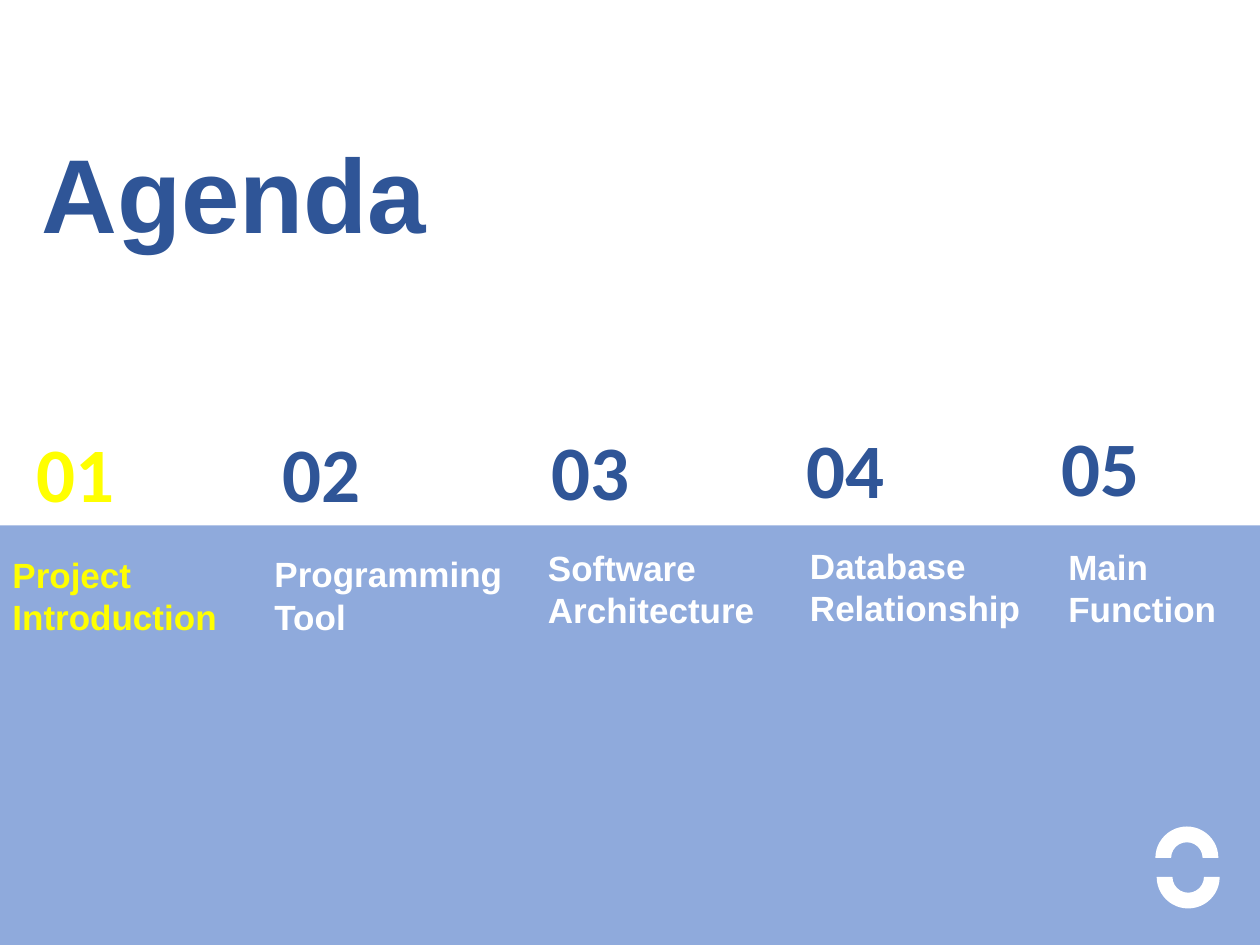
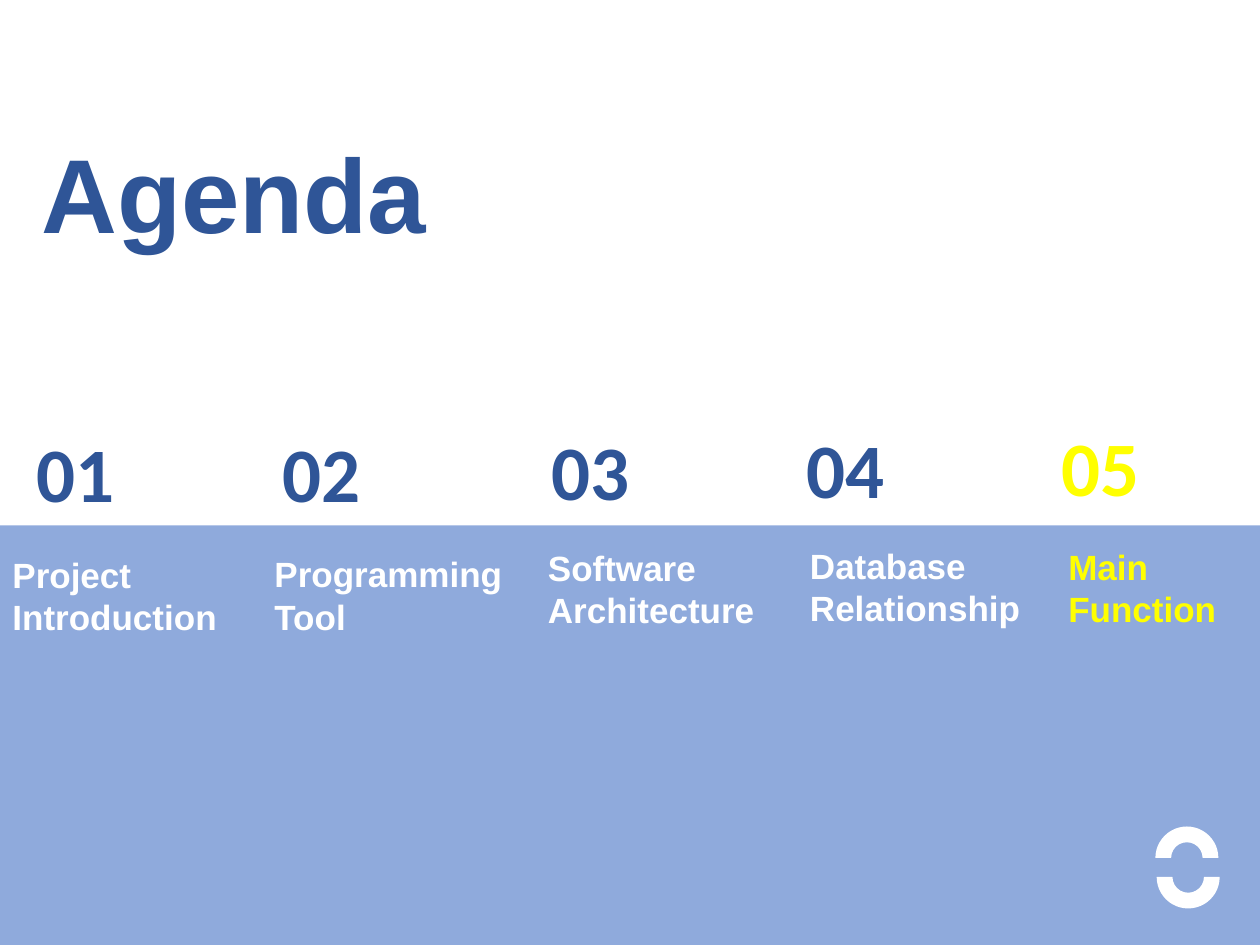
from dataclasses import dataclass

from pptx import Presentation
from pptx.dml.color import RGBColor
from pptx.enum import shapes, text
from pptx.util import Inches, Pt


@dataclass(frozen=True)
class Theme:
    navy: str = "2F5597"
    band: str = "8FAADC"
    white: str = "FFFFFF"
    highlight: str = "FFFF00"
    text_font: str = "Arial"
    number_font: str = "Calibri"
    title_size: int = 60
    number_size: int = 44
    label_size: int = 20
    gap_size: int = 24


THEME = Theme()
TITLE = "Agenda"
TITLE_AREA = (0.23, 0.97, 5.35, 1.11)
BAND_AREA = (0, 4.17, 10, 3.33)
NUMBER_SIZE = (1.45, 0.84)

# Number position, label area, label paragraphs; a paragraph is a list of spans.
TOPICS = [
    ((0.19, 3.33), (0, 4.34, 1.99, 0.77), [["Project Introduction"]]),
    ((2.14, 3.33), (2.08, 4.28, 2.06, 0.84), [["Programming", " ", "Tool"]]),
    ((4.28, 3.31), (4.25, 4.29, 1.99, 0.77), [["Software Architecture"]]),
    ((6.3, 3.3), (6.33, 4.27, 1.99, 0.77), [["Database Relationship"]]),
    ((8.33, 3.28), (8.38, 4.28, 1.62, 0.77), [["Main"], ["Function"]]),
]
ARCS = [((9.17, 6.56, 0.5, 0.5), 0), ((9.18, 6.71, 0.5, 0.5), 180)]
CURRENT_TOPICS = [1, 5]  # the highlighted topic of each slide


def inches(area):
    return [Inches(length) for length in area]


def write(box, paragraphs, *, size, color, font=THEME.text_font):
    """Fill a box with bold, left-aligned text; a lone space takes the gap size."""
    frame = box.text_frame
    frame.word_wrap = True
    frame.auto_size = text.MSO_AUTO_SIZE.SHAPE_TO_FIT_TEXT
    frame.vertical_anchor = text.MSO_ANCHOR.TOP
    for index, spans in enumerate(paragraphs):
        para = frame.add_paragraph() if index else frame.paragraphs[0]
        para.alignment = text.PP_ALIGN.LEFT
        for words in spans:
            span = para.add_run()
            span.text = words
            span.font.name = font
            span.font.size = Pt(THEME.gap_size if words == " " else size)
            span.font.bold = True
            span.font.color.rgb = RGBColor.from_string(color)


def add_text(page, area, paragraphs, **style):
    write(page.shapes.add_textbox(*inches(area)), paragraphs, **style)


def add_solid(page, kind, area, color, rotation=0):
    solid = page.shapes.add_shape(kind, *inches(area))
    solid.shadow.inherit = False
    solid.fill.solid()
    solid.fill.fore_color.rgb = RGBColor.from_string(color)
    solid.line.fill.background()
    solid.rotation = rotation


def add_agenda(deck, current):
    page = deck.slides.add_slide(deck.slide_layouts[5])
    title = page.shapes.title
    title.left, title.top, title.width, title.height = inches(TITLE_AREA)
    write(title, [[TITLE]], size=THEME.title_size, color=THEME.navy)

    add_solid(page, shapes.MSO_SHAPE.RECTANGLE, BAND_AREA, THEME.band)
    for number, (corner, label_area, label) in enumerate(TOPICS, 1):
        active = number == current
        add_text(page, corner + NUMBER_SIZE, [[f"{number:02}"]],
                 size=THEME.number_size, font=THEME.number_font,
                 color=THEME.highlight if active else THEME.navy)
        add_text(page, label_area, label, size=THEME.label_size,
                 color=THEME.highlight if active else THEME.white)
    for area, rotation in ARCS:
        add_solid(page, shapes.MSO_SHAPE.BLOCK_ARC, area, THEME.white, rotation)


def main():
    deck = Presentation()
    deck.slide_width, deck.slide_height = Inches(10), Inches(7.5)
    for current in CURRENT_TOPICS:
        add_agenda(deck, current)
    deck.save("out.pptx")


if __name__ == "__main__":
    main()
